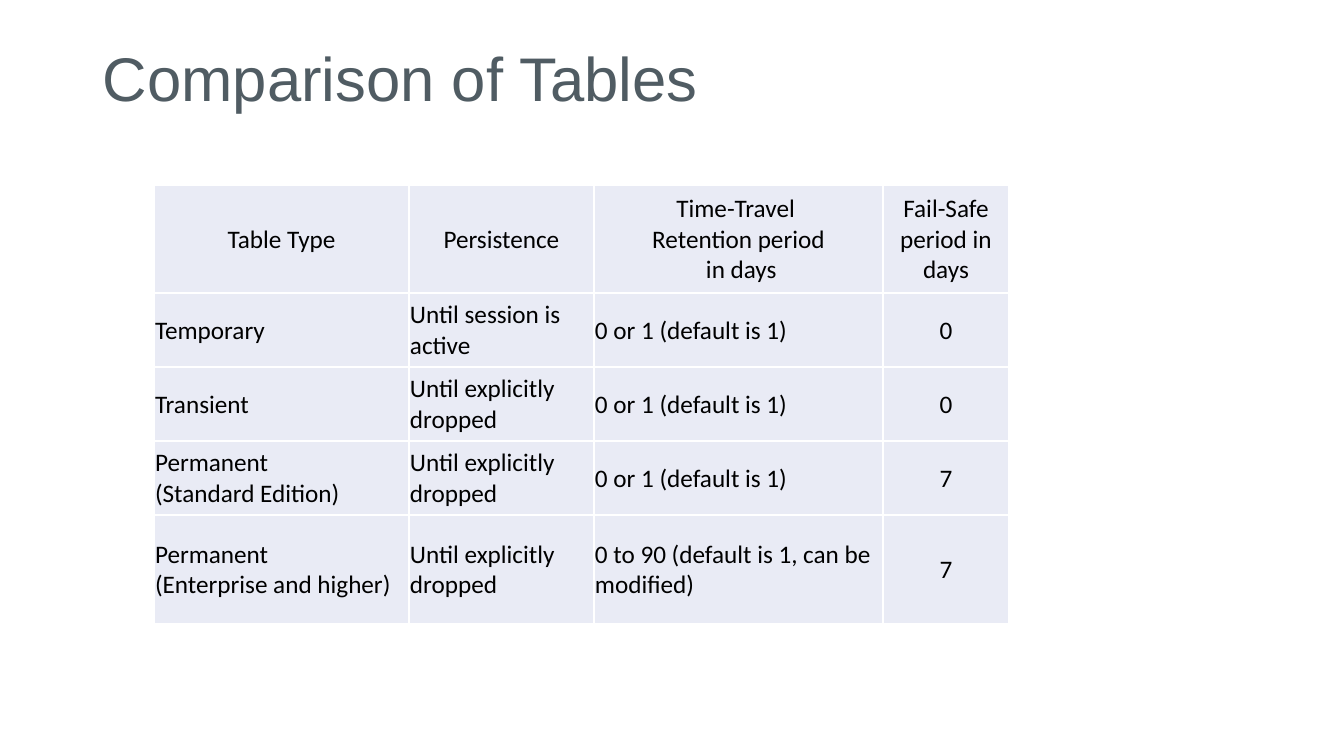
import pptx
import pptx.util
import pptx.dml.color
import pptx.enum.text
import pptx.oxml.ns
import lxml.etree

TITLE = "Comparison of Tables"
COMPARISON = [
    ("Table Type", "Persistence", "Time-Travel \nRetention period\n in days", "Fail-Safe period in days"),
    ("Temporary", "Until session is active", "0 or 1 (default is 1)", "0"),
    ("Transient", "Until explicitly dropped", "0 or 1 (default is 1)", "0"),
    ("Permanent\n(Standard Edition)", "Until explicitly dropped", "0 or 1 (default is 1)", "7"),
    ("Permanent\n(Enterprise and higher)", "Until explicitly dropped",
     "0 to 90 (default is 1, can be modified)", "7"),
]
COLORS = {"title": "505C63", "text": "000000", "cell": "E9EBF5", "border": "FFFFFF"}
SLIDE_SIZE = (1344, 756)
TITLE_BOX = (93, 40, 1159, 83)
TABLE_CORNER = (154, 185)
COLUMN_WIDTHS = (255, 185, 289, 126)
ROW_HEIGHTS = (108, 74, 74, 74, 109)
FAIL_SAFE_COLUMN = 3
CENTER = pptx.enum.text.PP_ALIGN.CENTER
LEFT = pptx.enum.text.PP_ALIGN.LEFT
MIDDLE = pptx.enum.text.MSO_ANCHOR.MIDDLE


def px(length):
    return pptx.util.Emu(round(length * 914400 / 100.8))


def rgb(name):
    return pptx.dml.color.RGBColor.from_string(COLORS[name])


def write(paragraph, text, font, size, color):
    for number, line in enumerate(text.split("\n")):
        if number:
            paragraph.add_line_break()
        run = paragraph.add_run()
        run.text = line
        run.font.name = font
        run.font.size = pptx.util.Pt(size)
        run.font.color.rgb = rgb(color)


def add_borders(cell):
    qn = pptx.oxml.ns.qn
    properties = cell._tc.get_or_add_tcPr()
    for side in ("lnL", "lnR", "lnT", "lnB"):
        border = lxml.etree.SubElement(properties, qn(f"a:{side}"), w=str(pptx.util.Pt(1)))
        fill = lxml.etree.SubElement(border, qn("a:solidFill"))
        lxml.etree.SubElement(fill, qn("a:srgbClr"), val=COLORS["border"])


def add_title(slide):
    heading = slide.shapes.add_textbox(*map(px, TITLE_BOX)).text_frame
    heading.word_wrap = True
    heading.vertical_anchor = MIDDLE
    heading.paragraphs[0].line_spacing = 0.9
    write(heading.paragraphs[0], TITLE, "Arial", 44, "title")


def add_comparison(slide):
    size = (sum(COLUMN_WIDTHS), sum(ROW_HEIGHTS))
    table = slide.shapes.add_table(
        len(ROW_HEIGHTS), len(COLUMN_WIDTHS), *map(px, TABLE_CORNER + size)).table
    for column, width in zip(table.columns, COLUMN_WIDTHS):
        column.width = px(width)
    for row, height in zip(table.rows, ROW_HEIGHTS):
        row.height = px(height)
    table.first_row = False
    table.horz_banding = False
    for row, entries in enumerate(COMPARISON):
        for column, entry in enumerate(entries):
            cell = table.cell(row, column)
            add_borders(cell)
            cell.fill.solid()
            cell.fill.fore_color.rgb = rgb("cell")
            cell.vertical_anchor = MIDDLE
            cell.margin_left = cell.margin_right = cell.margin_top = px(1)
            cell.margin_bottom = 0
            paragraph = cell.text_frame.paragraphs[0]
            paragraph.alignment = CENTER if row == 0 or column == FAIL_SAFE_COLUMN else LEFT
            write(paragraph, entry, "Calibri", 18, "text")


def main():
    deck = pptx.Presentation()
    deck.slide_width, deck.slide_height = map(px, SLIDE_SIZE)
    slide = deck.slides.add_slide(deck.slide_layouts[6])
    add_title(slide)
    add_comparison(slide)
    deck.save("out.pptx")


if __name__ == "__main__":
    main()
